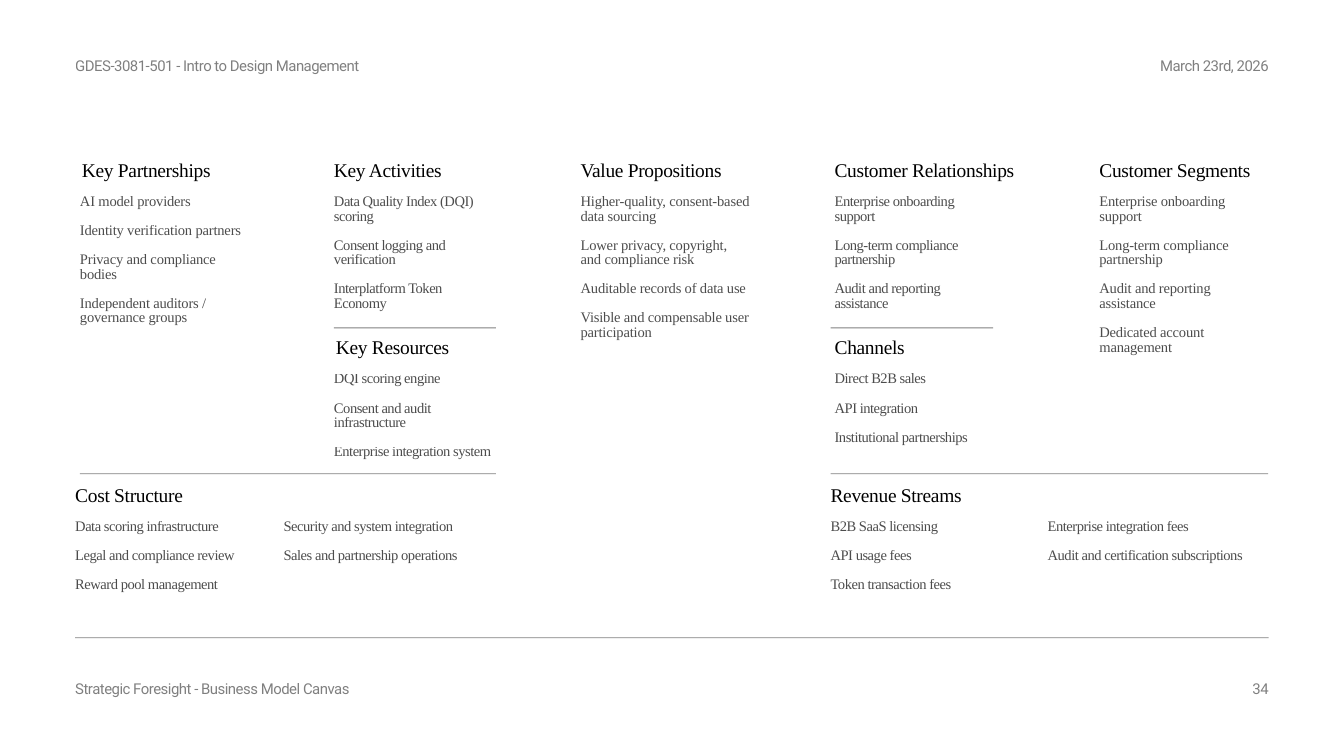
"""Build a business model canvas slide."""
from lxml.etree import SubElement
from pptx import Presentation
from pptx.dml.color import RGBColor
from pptx.enum.shapes import MSO_CONNECTOR
from pptx.enum.text import MSO_AUTO_SIZE, PP_ALIGN
from pptx.oxml.ns import qn
from pptx.util import Inches, Pt

BLACK = RGBColor(0, 0, 0)
SANS = "Roboto"
SERIF = "Times New Roman"
TOP_ROW, MIDDLE_ROW, BOTTOM_ROW = 2.41, 5.05, 7.25


def set_opacity(fill, percent):
    fill.solid()
    fill.fore_color.rgb = BLACK
    if percent < 100:
        color = fill._xPr.find(qn("a:solidFill")).find(qn("a:srgbClr"))
        SubElement(color, qn("a:alpha")).set("val", str(percent * 1000))


def add_text(left, top, width, height, lines, size, font, opacity, tracking, align=PP_ALIGN.LEFT):
    box = page.shapes.add_textbox(Inches(left), Inches(top), Inches(width), Inches(height))
    frame = box.text_frame
    frame.margin_left = frame.margin_top = frame.margin_right = frame.margin_bottom = 0
    frame.word_wrap = True
    frame.auto_size = MSO_AUTO_SIZE.SHAPE_TO_FIT_TEXT
    for index, line in enumerate(lines):
        para = frame.paragraphs[0] if index == 0 else frame.add_paragraph()
        para.alignment = align
        para.line_spacing = Pt(size)
        if index:
            para.space_before = Pt(size)
        span = para.add_run()
        span.text = line
        span.font.name = font
        span.font.size = Pt(size)
        set_opacity(span.font.fill, opacity)
        span.font._element.set("spc", str(round(tracking * 100)))


deck = Presentation()
deck.slide_width = Inches(20)
deck.slide_height = Inches(11.25)
page = deck.slides.add_slide(deck.slide_layouts[6])

margin_notes = [
    (1.12, 0.89, 4.44, "GDES-3081-501 - Intro to Design Management", PP_ALIGN.LEFT),
    (15.94, 0.89, 2.94, "March 23rd, 2026", PP_ALIGN.RIGHT),
    (1.12, 10.16, 4.44, "Strategic Foresight - Business Model Canvas", PP_ALIGN.LEFT),
    (14.44, 10.16, 4.44, "34", PP_ALIGN.RIGHT),
]
for left, top, width, note, align in margin_notes:
    add_text(left, top, width, 0.23, [note], 16, SANS, 50, -0.5, align)

headings = [
    (1.22, TOP_ROW, 2.09, "Key Partnerships"),
    (4.97, TOP_ROW, 1.65, "Key Activities"),
    (8.64, TOP_ROW, 2.22, "Value Propositions"),
    (12.42, TOP_ROW, 2.86, "Customer Relationships"),
    (16.36, TOP_ROW, 2.38, "Customer Segments"),
    (5, MIDDLE_ROW, 1.76, "Key Resources"),
    (12.42, MIDDLE_ROW, 1.12, "Channels"),
    (1.12, BOTTOM_ROW, 1.8, "Cost Structure"),
    (12.36, BOTTOM_ROW, 2.28, "Revenue Streams"),
]
for left, top, width, heading in headings:
    add_text(left, top, width, 0.32, [heading], 20.8, SERIF, 100, -0.3)

support = [
    "Enterprise onboarding support",
    "Long-term compliance partnership",
    "Audit and reporting assistance",
]
entries = [
    (1.19, TOP_ROW, 2.52, 2.2, -0.2, [
        "AI model providers", "Identity verification partners",
        "Privacy and compliance bodies", "Independent auditors / governance groups"]),
    (4.97, TOP_ROW, 2.41, 1.98, -0.5, [
        "Data Quality Index (DQI) scoring", "Consent logging and verification",
        "Interplatform Token Economy"]),
    (8.64, TOP_ROW, 2.52, 2.42, -0.2, [
        "Higher-quality, consent-based data sourcing",
        "Lower privacy, copyright, and compliance risk",
        "Auditable records of data use", "Visible and compensable user participation"]),
    (12.42, TOP_ROW, 2.41, 1.77, -0.5, support),
    (16.36, TOP_ROW, 2.52, 2.63, -0.2, support + ["Dedicated account management"]),
    (4.97, MIDDLE_ROW, 2.41, 1.55, -0.5, [
        "DQI scoring engine", "Consent and audit infrastructure",
        "Enterprise integration system"]),
    (12.42, MIDDLE_ROW, 2.41, 1.33, -0.5, [
        "Direct B2B sales", "API integration", "Institutional partnerships"]),
    (1.12, BOTTOM_ROW, 3.1, 1.12, -0.5, [
        "Data scoring infrastructure", "Legal and compliance review",
        "Reward pool management"]),
    (4.22, BOTTOM_ROW, 3.1, 0.9, -0.5, [
        "Security and system integration", "Sales and partnership operations"]),
    (12.36, BOTTOM_ROW, 3.22, 1.12, -0.5, [
        "B2B SaaS licensing", "API usage fees", "Token transaction fees"]),
    (15.59, BOTTOM_ROW, 3.22, 0.68, -0.5, [
        "Enterprise integration fees", "Audit and certification subscriptions"]),
]
for left, row, width, height, tracking, lines in entries:
    add_text(left, row + 0.49, width, height, lines, 15.6, SERIF, 70, tracking)

rules = [
    (4.97, 7.38, 4.88, 1),
    (12.36, 14.78, 4.88, 1),
    (12.36, 18.87, 7.05, 1),
    (1.19, 7.38, 7.05, 1),
    (1.12, 18.88, 9.49, 0.75),
]
for start, end, height, weight in rules:
    rule = page.shapes.add_connector(
        MSO_CONNECTOR.STRAIGHT, Inches(start), Inches(height), Inches(end), Inches(height))
    rule.line.width = Pt(weight)
    set_opacity(rule.line.fill, 50)
    SubElement(rule._element.spPr, qn("a:effectLst"))

deck.save("out.pptx")
